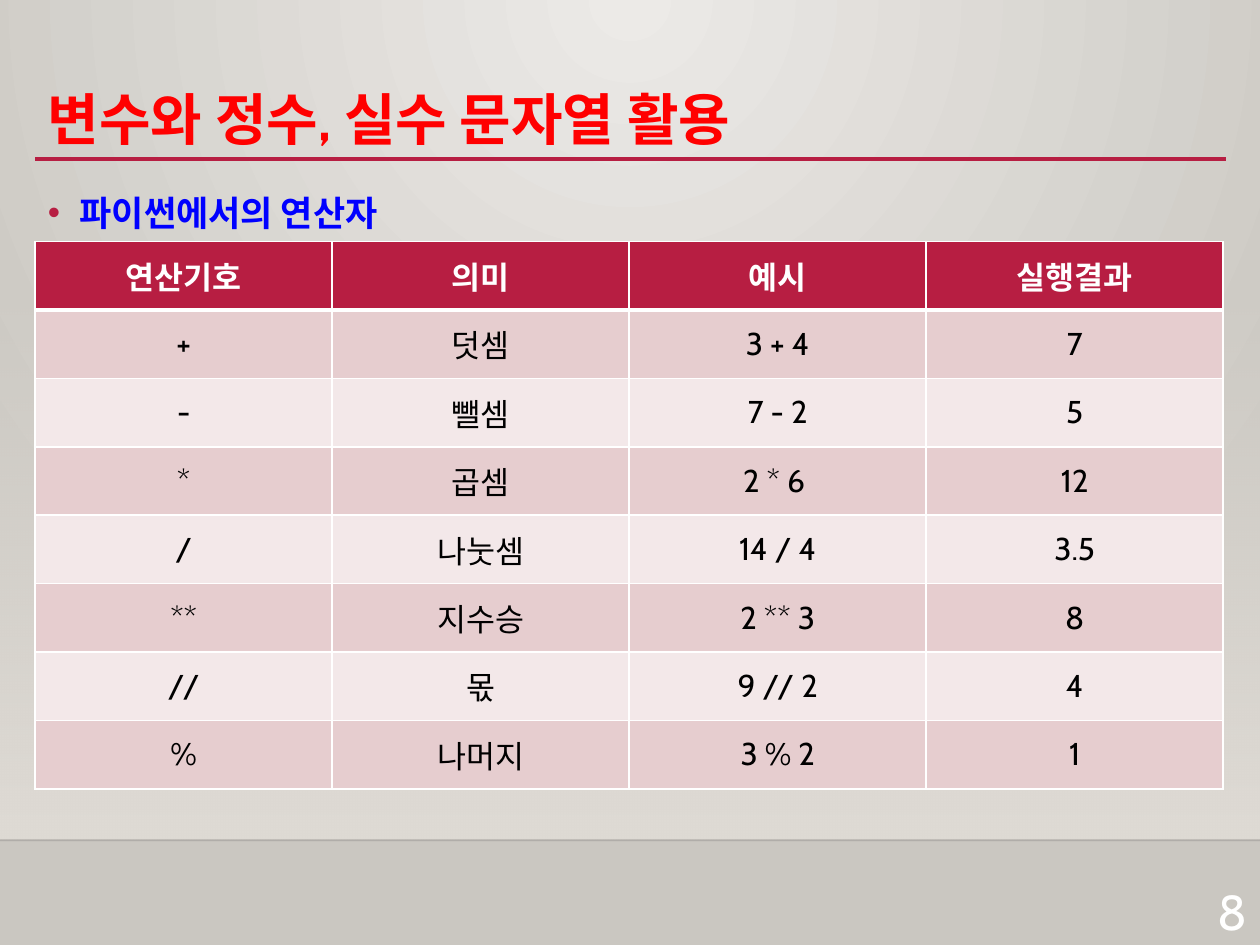
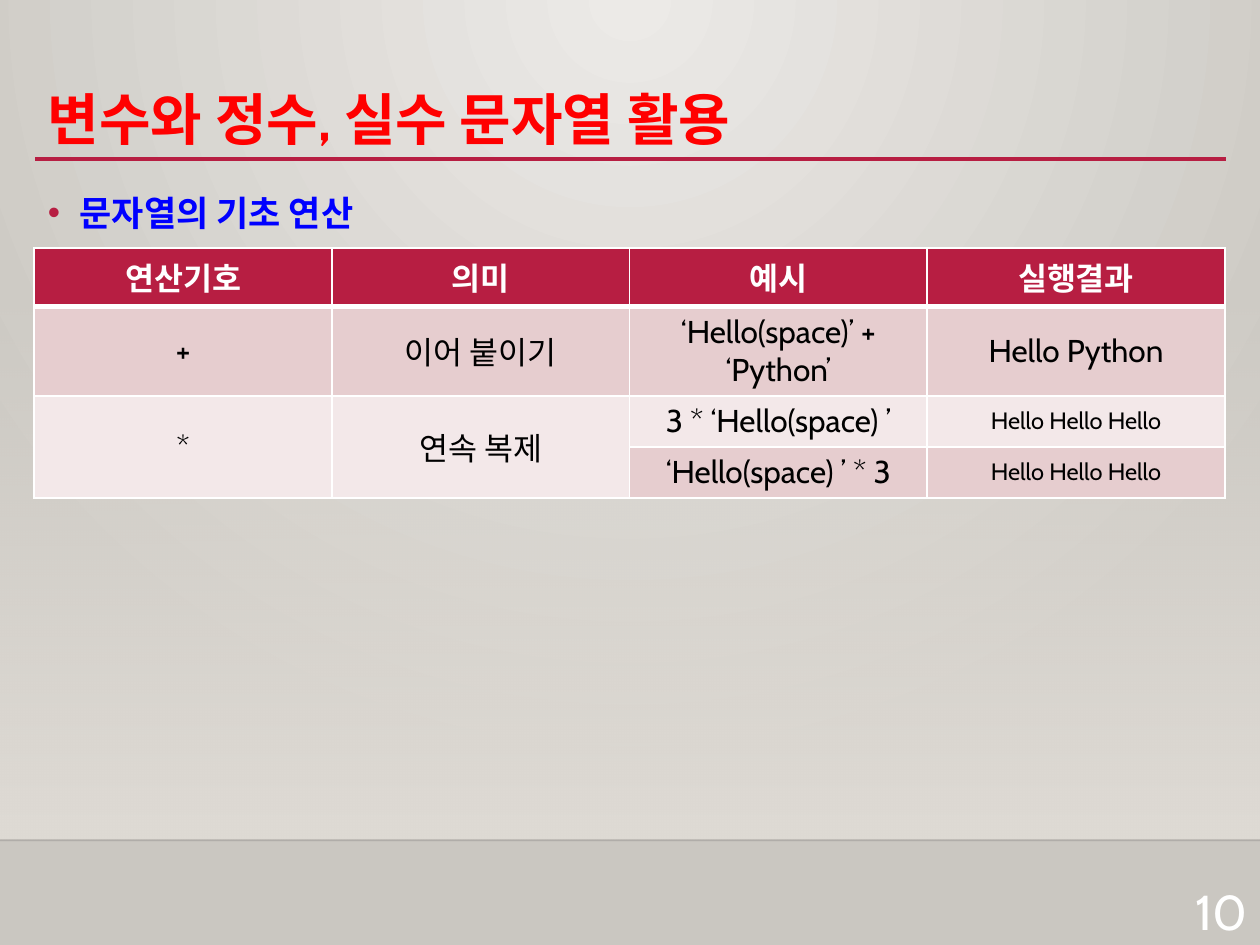
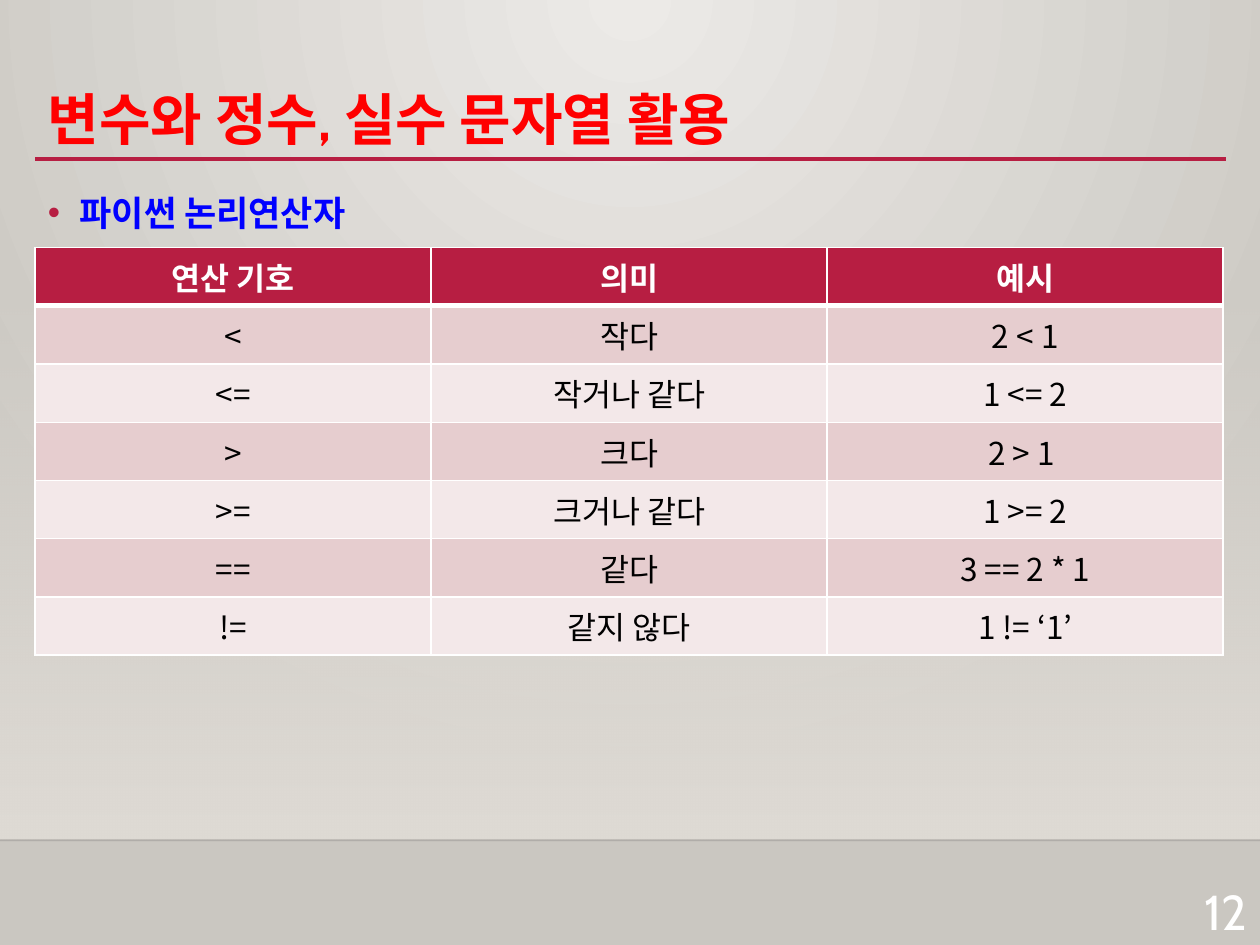
from lxml.etree import SubElement
from pptx import Presentation
from pptx.dml.color import RGBColor
from pptx.enum.shapes import MSO_CONNECTOR as Connector, MSO_SHAPE as Shape
from pptx.enum.text import MSO_ANCHOR as Anchor, MSO_AUTO_SIZE as AutoSize, PP_ALIGN as Align
from pptx.oxml.ns import qn
from pptx.util import Cm, Pt

# Shared look
CRIMSON, RED, BLUE, WHITE, BLACK = "B71E42", "FF0000", "0000FF", "FFFFFF", "000000"
ROW_TINTS = ("F3E8E9", "E6CDCF")
GLOW, STONE, SAND = "ECEAE7", "CAC7C1", "DFDBD5"
LATIN, KOREAN = "Cabin", "Noto Sans CJK KR"
SLIDE_W, SLIDE_H = 25.4, 19.05
MARGIN, CONTENT_W = 0.71, 24.0
FLOOR_Y, RULE_Y = 16.94, 3.2
TITLE = "변수와 정수, 실수 문자열 활용"

# Slide content: a row shorter than the header continues the merged cells above it
ARITHMETIC = [
    ("연산기호", "의미", "예시", "실행결과"),
    ("+", "덧셈", "3 + 4", "7"),
    ("-", "뺄셈", "7 - 2", "5"),
    ("*", "곱셈", "2 * 6 ", "12"),
    ("/", "나눗셈", "14 / 4", "3.5"),
    ("**", "지수승", "2 ** 3", "8"),
    ("//", "몫", "9 // 2", "4"),
    ("%", "나머지", "3 % 2", "1"),
]
STRINGS = [
    ("연산기호", "의미", "예시", "실행결과"),
    ("+", "이어 붙이기", "‘Hello(space)’ + ‘Python’", "Hello Python"),
    ("*", "연속 복제", "3 * ‘Hello(space) ’", "Hello Hello Hello"),
    ("‘Hello(space) ’ * 3", "Hello Hello Hello"),
]
LOGIC = [
    ("연산 기호", "의미", "예시"),
    ("<", "작다", "2 < 1"),
    ("<=", "작거나 같다", "1 <= 2"),
    (">", "크다", "2 > 1 "),
    (">=", "크거나 같다", "1 >= 2"),
    ("==", "같다", "3 == 2 * 1"),
    ("!=", "같지 않다", "1 != ‘1’"),
]


def rgb(code):
    return RGBColor.from_string(code)


def write(frame, words, size=18, color=BLACK, bold=False, font=LATIN,
          align=Align.LEFT, spacing=None, before=None):
    paragraph = frame.paragraphs[0]
    paragraph.alignment = align
    paragraph.line_spacing = spacing
    paragraph.space_before = None if before is None else Pt(before)
    run = paragraph.add_run()
    run.text = words
    run.font.size, run.font.bold, run.font.name = Pt(size), bold, font
    run.font.color.rgb = rgb(color)
    SubElement(run.font._element, qn("a:ea"), typeface=KOREAN)
    return paragraph


def add_color(parent, code, alpha=100):
    color = SubElement(parent, qn("a:srgbClr"), val=code)
    if alpha < 100:
        SubElement(color, qn("a:alpha"), val=str(alpha * 1000))


def fill_gradient(properties, stops, angle=None):
    """Swap the solid fill for a linear gradient, or one glowing from the top centre."""
    solid = properties.find(qn("a:solidFill"))
    gradient = SubElement(properties, qn("a:gradFill"), rotWithShape="1")
    properties.replace(solid, gradient)
    stop_list = SubElement(gradient, qn("a:gsLst"))
    for position, code, alpha in stops:
        add_color(SubElement(stop_list, qn("a:gs"), pos=str(position * 1000)), code, alpha)
    if angle is None:
        radial = SubElement(gradient, qn("a:path"))
        radial.set("path", "circle")
        SubElement(radial, qn("a:fillToRect"), l="43000", t="0", r="43000", b="100000")
    else:
        SubElement(gradient, qn("a:lin"), ang=str(angle * 60000), scaled="0")


def add_rule(slide, left, right, y, color, width, alpha=100):
    rule = slide.shapes.add_connector(Connector.STRAIGHT, Cm(left), Cm(y), Cm(right), Cm(y))
    rule.line.width = Pt(width)
    rule.line.color.rgb = rgb(color)
    properties = rule._element.spPr
    if alpha < 100:
        color_node = properties.find(".//" + qn("a:srgbClr"))
        SubElement(color_node, qn("a:alpha"), val=str(alpha * 1000))
    SubElement(properties, qn("a:effectLst"))


def add_backdrop(slide, number):
    slide.background.fill.solid()
    fill_gradient(slide._element.find(".//" + qn("p:bgPr")),
                  [(0, GLOW, 100), (100, STONE, 100)])

    # Wall fading in towards the floor line
    wall = slide.shapes.add_shape(Shape.RECTANGLE, 0, Cm(5.6), Cm(SLIDE_W), Cm(FLOOR_Y - 5.6))
    wall.shadow.inherit = False
    wall.line.fill.background()
    wall.fill.solid()
    fill_gradient(wall._element.spPr, [(0, SAND, 0), (100, SAND, 100)], angle=90)
    add_rule(slide, 0, SLIDE_W, FLOOR_Y, "000001", 1, alpha=20)

    page = slide.shapes.add_textbox(Cm(23.2), Cm(17.65), Cm(2.2), Cm(1.4))
    page.text_frame.word_wrap = True
    write(page.text_frame, str(number), size=28, color=WHITE, align=Align.RIGHT)
    add_rule(slide, MARGIN, MARGIN + CONTENT_W, RULE_Y, CRIMSON, 2.5)


def place(holder, top, height, anchor):
    holder.left, holder.top = Cm(MARGIN), Cm(top)
    holder.width, holder.height = Cm(CONTENT_W), Cm(height)
    frame = holder.text_frame
    frame.auto_size, frame.vertical_anchor = AutoSize.NONE, anchor
    holder._element.getparent().append(holder._element)  # in front of the backdrop
    return frame


def add_headings(slide, topic):
    heading = place(slide.shapes.title, 0.28, 2.92, Anchor.BOTTOM)
    write(heading, TITLE, size=32, color=RED, bold=True, spacing=0.9)

    topics = place(slide.placeholders[1], 3.56, 13.26, Anchor.TOP)
    line = write(topics, topic, size=20, color=BLUE, bold=True, spacing=1.2, before=10)
    properties = line._p.get_or_add_pPr()
    properties.set("marL", str(Cm(0.64)))
    properties.set("indent", str(Cm(-0.64)))
    add_color(SubElement(properties, qn("a:buClr")), CRIMSON)
    SubElement(properties, qn("a:buFont"), typeface="Arial")
    SubElement(properties, qn("a:buChar"), char="•")


def format_cell(cell, row):
    """White borders, heavier below the header; crimson header over tinted rows."""
    properties = cell._tc.get_or_add_tcPr()
    widths = {"L": 1, "R": 1, "T": 3 if row == 1 else 1, "B": 3 if row == 0 else 1}
    for side, width in widths.items():
        border = SubElement(properties, qn("a:ln" + side), w=str(Pt(width)))
        add_color(SubElement(border, qn("a:solidFill")), WHITE)
    cell.fill.solid()
    cell.fill.fore_color.rgb = rgb(ROW_TINTS[row % 2] if row else CRIMSON)
    cell.vertical_anchor = Anchor.MIDDLE


def add_operator_table(slide, rows, left, top, width, row_height, font, small):
    columns = len(rows[0])
    table = slide.shapes.add_table(len(rows), columns, Cm(left), Cm(top), Cm(width),
                                   Cm(row_height * len(rows))).table
    table.horz_banding = False
    for r, entries in enumerate(rows):
        table.rows[r].height = Cm(row_height)
        skipped = columns - len(entries)
        for c in range(columns):
            cell = table.cell(r, c)
            format_cell(cell, r)
            if c < skipped:
                table.cell(r - 1, c).merge(cell)
                continue
            words = entries[c - skipped]
            write(cell.text_frame, words, size=small.get(words, 18), bold=r == 0,
                  color=BLACK if r else WHITE, font=font, align=Align.CENTER)


def add_operator_slide(deck, number, topic, rows, top, row_height, left=MARGIN,
                       width=23.95, font=LATIN, small={}):
    slide = deck.slides.add_slide(deck.slide_layouts[1])
    add_backdrop(slide, number)
    add_headings(slide, topic)
    add_operator_table(slide, rows, left, top, width, row_height, font, small)


def main():
    deck = Presentation()
    deck.slide_width, deck.slide_height = Cm(SLIDE_W), Cm(SLIDE_H)
    add_operator_slide(deck, 8, "파이썬에서의 연산자", ARITHMETIC, 4.87, 1.38)
    add_operator_slide(deck, 10, "문자열의 기초 연산", STRINGS, 5.0, 1.03, left=0.69,
                       width=24.0, small={"Hello Hello Hello": 13.5})
    add_operator_slide(deck, 12, "파이썬 논리연산자", LOGIC, 4.99, 1.1, font=KOREAN)
    deck.save("out.pptx")


if __name__ == "__main__":
    main()
